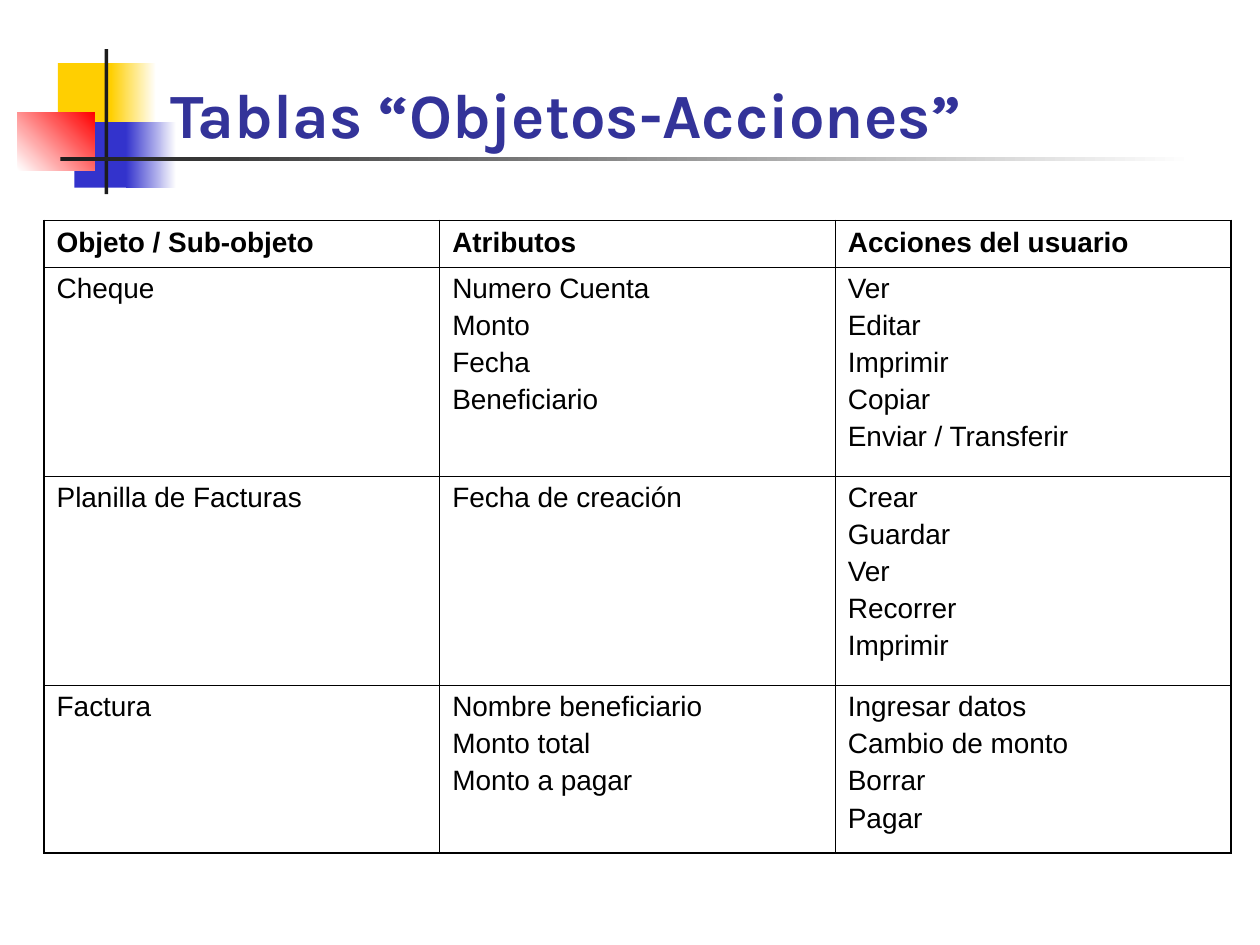
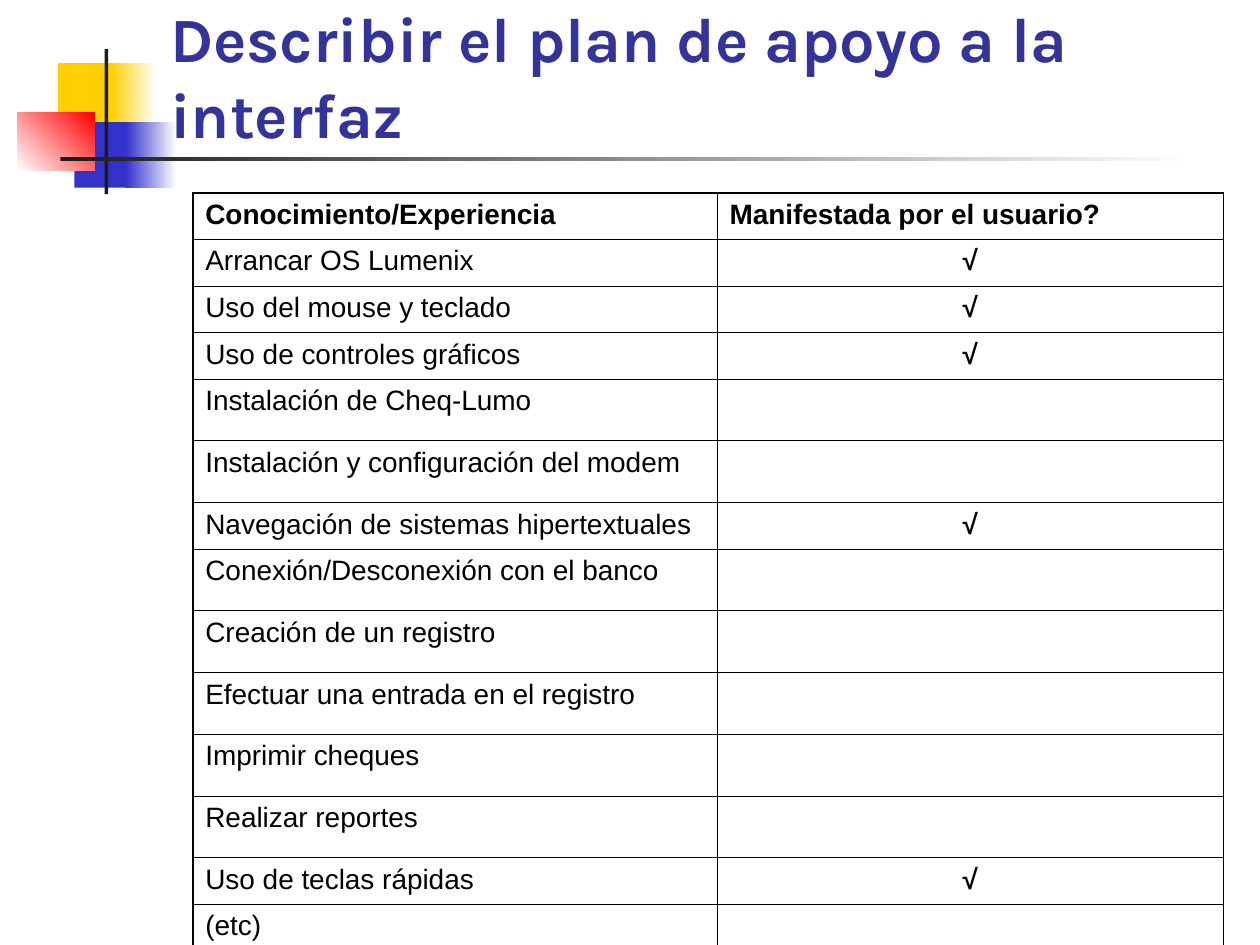
from dataclasses import dataclass

from lxml.etree import SubElement
from pptx import Presentation
from pptx.dml.color import RGBColor
from pptx.enum.shapes import MSO_SHAPE
from pptx.enum.text import MSO_ANCHOR, MSO_AUTO_SIZE, PP_ALIGN
from pptx.oxml import parse_xml
from pptx.oxml.ns import nsdecls, qn
from pptx.util import Inches, Pt

COLORS = {
    "title": "333399",
    "text": "000000",
    "yellow": "FFCF01",
    "blue": "3333CC",
    "red": "FF0000",
    "dark": "1C1C1C",
    "white": "FFFFFF",
}
TITLE_FONT = {"name": "Karla", "size": Pt(36), "bold": True}
CELL_FONT = {"name": "Arial", "size": Pt(16)}
OUTER_LINE, INNER_LINE = Pt(1.08), Pt(0.45)
LINE_GAP = Pt(3.4)
CHECK = "√"


@dataclass(frozen=True)
class Block:
    """A decorative rectangle; a second colour makes it a gradient."""
    left: float
    top: float
    width: float
    height: float
    color: str
    fade_to: str = ""
    angle: float = 0


@dataclass(frozen=True)
class Grid:
    """A table; a line break in a cell starts a new paragraph."""
    left: float
    top: float
    cols: list[float]
    heights: list[float]
    rows: list[tuple[str, ...]]


BLOCKS = [
    Block(0.46, 0.5, 0.48, 0.52, "yellow"),
    Block(0.88, 0.5, 0.36, 0.52, "yellow", "white"),
    Block(0.59, 0.97, 0.46, 0.52, "blue"),
    Block(1, 0.97, 0.4, 0.52, "blue", "white"),
    Block(0.14, 0.89, 0.61, 0.46, "white", "red", 45),
    Block(0.83, 0.39, 0.03, 1.15, "dark"),
    Block(0.48, 1.25, 9, 0.03, "dark", "white"),
]

OBJECT_ROWS = [
    ("Objeto / Sub-objeto", "Atributos", "Acciones del usuario"),
    ("Cheque", "Numero Cuenta\nMonto\nFecha\nBeneficiario",
     "Ver\nEditar\nImprimir\nCopiar\nEnviar / Transferir"),
    ("Planilla de Facturas", "Fecha de creación",
     "Crear\nGuardar\nVer\nRecorrer\nImprimir"),
    ("Factura", "Nombre beneficiario\nMonto total\nMonto a pagar",
     "Ingresar datos\nCambio de monto\nBorrar\nPagar"),
]

SKILL_ROWS = [
    ("Conocimiento/Experiencia", "Manifestada por el usuario?"),
    ("Arrancar OS Lumenix", CHECK),
    ("Uso del mouse y teclado", CHECK),
    ("Uso de controles gráficos", CHECK),
    ("Instalación de Cheq-Lumo", ""),
    ("Instalación y configuración del modem", ""),
    ("Navegación de sistemas hipertextuales", CHECK),
    ("Conexión/Desconexión con el banco", ""),
    ("Creación de un registro", ""),
    ("Efectuar una entrada en el registro", ""),
    ("Imprimir cheques", ""),
    ("Realizar reportes", ""),
    ("Uso de teclas rápidas", CHECK),
    ("(etc)", ""),
]

SLIDES = [
    ("Tablas “Objetos-Acciones”",
     Grid(0.35, 1.75, [3.14] * 3, [0.37, 1.66, 1.66, 1.33], OBJECT_ROWS)),
    ("Describir el plan de apoyo a la interfaz",
     Grid(1.53, 1.53, [4.16, 4.02],
          [0.37 if mark else 0.49 for _, mark in SKILL_ROWS], SKILL_ROWS)),
]


def rgb(name: str) -> RGBColor:
    return RGBColor.from_string(COLORS[name])


def set_font(font, formats: dict, color: str) -> None:
    for name, value in formats.items():
        setattr(font, name, value)
    font.color.rgb = rgb(color)


def add_block(slide, block: Block):
    sp = slide.shapes.add_shape(
        MSO_SHAPE.RECTANGLE, Inches(block.left), Inches(block.top),
        Inches(block.width), Inches(block.height))
    sp.shadow.inherit = False
    sp.line.fill.background()
    if block.fade_to:
        sp.fill.gradient()
        sp.fill.gradient_angle = block.angle
        for stop, name in zip(sp.fill.gradient_stops,
                              (block.color, block.fade_to)):
            stop.color.rgb = rgb(name)
    else:
        sp.fill.solid()
        sp.fill.fore_color.rgb = rgb(block.color)
    return sp


def decorate_layout(slide) -> None:
    """Draw the blocks and move them to the layout all slides share."""
    tree = slide.slide_layout.shapes._spTree
    for number, block in enumerate(BLOCKS, start=20):
        el = add_block(slide, block)._element
        el.nvSpPr.cNvPr.id = number
        tree.append(el)


def set_title(slide, text: str) -> None:
    sp = slide.shapes.title
    sp.left, sp.top = Inches(1.25), Inches(0)
    sp.width, sp.height = Inches(8.52), Inches(1.25)
    tf = sp.text_frame
    tf.text = text
    tf.auto_size = MSO_AUTO_SIZE.NONE
    tf.vertical_anchor = MSO_ANCHOR.BOTTOM
    p = tf.paragraphs[0]
    p.alignment = PP_ALIGN.LEFT
    set_font(p.runs[0].font, TITLE_FONT, "title")


def set_borders(cell, outer: dict[str, bool]) -> None:
    tc_pr = cell._tc.get_or_add_tcPr()
    for i, (side, is_outer) in enumerate(outer.items()):
        width = OUTER_LINE if is_outer else INNER_LINE
        ln = parse_xml(f'<a:ln{side} {nsdecls("a")} w="{int(width)}"/>')
        fill = SubElement(ln, qn("a:solidFill"))
        SubElement(fill, qn("a:srgbClr"), val=COLORS["text"])
        tc_pr.insert(i, ln)


def fill_cell(cell, text: str, bold: bool) -> None:
    cell.fill.background()
    if not text:
        return
    tf = cell.text_frame
    tf.text = text
    for i, p in enumerate(tf.paragraphs):
        p.alignment = PP_ALIGN.CENTER if text == CHECK else PP_ALIGN.LEFT
        if i:
            p.space_before = LINE_GAP
        set_font(p.runs[0].font, CELL_FONT | {"bold": bold}, "text")


def add_grid(slide, grid: Grid) -> None:
    n_rows, n_cols = len(grid.rows), len(grid.cols)
    table = slide.shapes.add_table(
        n_rows, n_cols, Inches(grid.left), Inches(grid.top),
        Inches(sum(grid.cols)), Inches(sum(grid.heights))).table
    table.first_row = table.horz_banding = False
    for col, width in zip(table.columns, grid.cols):
        col.width = Inches(width)
    for row, height in zip(table.rows, grid.heights):
        row.height = Inches(height)
    for r, texts in enumerate(grid.rows):
        for c, text in enumerate(texts):
            cell = table.cell(r, c)
            fill_cell(cell, text, bold=r == 0 or text == CHECK)
            set_borders(cell, {"L": c == 0, "R": c == n_cols - 1,
                               "T": r == 0, "B": r == n_rows - 1})


def main() -> None:
    prs = Presentation()
    prs.slide_width, prs.slide_height = Inches(10), Inches(7.5)
    layout = prs.slide_layouts[5]  # title only
    for title, grid in SLIDES:
        s = prs.slides.add_slide(layout)
        set_title(s, title)
        add_grid(s, grid)
    decorate_layout(prs.slides[0])
    prs.save("out.pptx")


if __name__ == "__main__":
    main()
